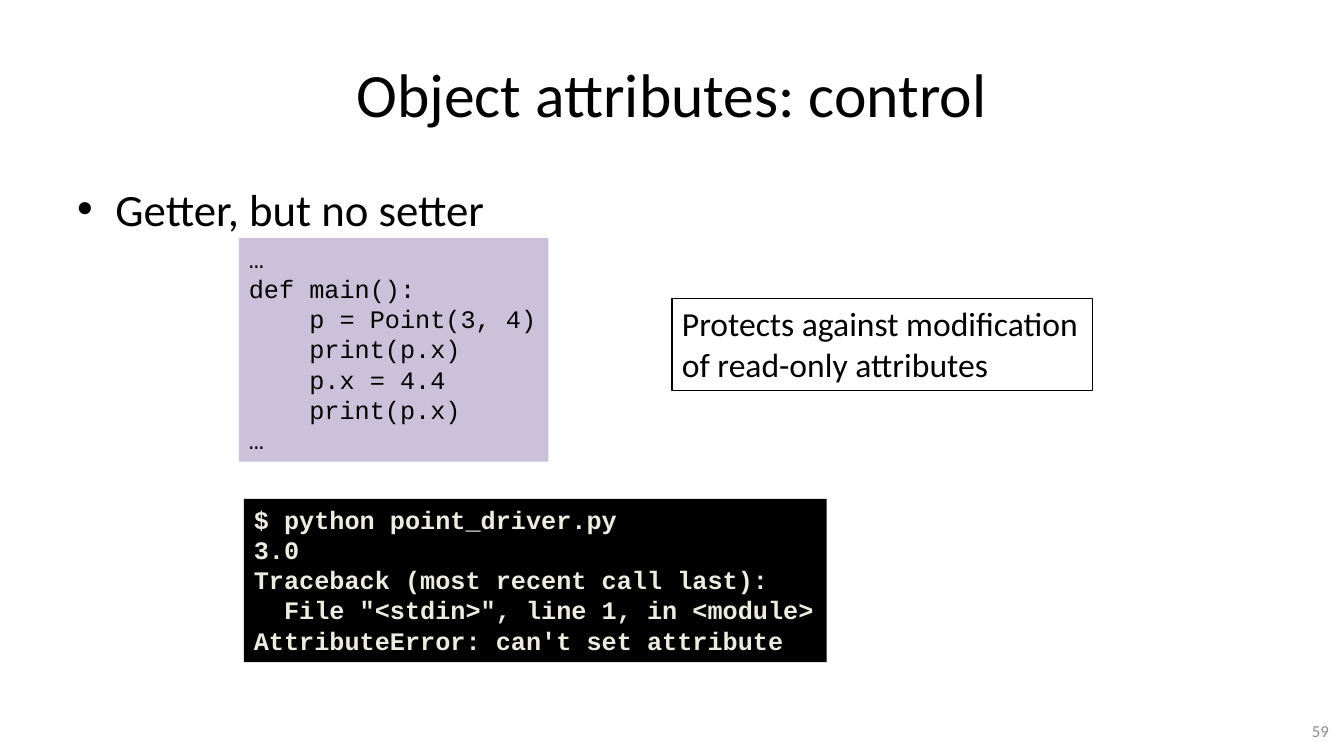
from pptx import Presentation
from pptx.dml.color import RGBColor
from pptx.enum.text import MSO_ANCHOR, MSO_AUTO_SIZE, PP_ALIGN
from pptx.oxml import parse_xml
from pptx.oxml.ns import nsdecls
from pptx.util import Inches, Pt

THEME = {
    "ink": "000000", "lilac": "CCC1DA", "cream": "EEECE1", "gray": "8C8C8C",
    "title": 44, "body": 32, "note": 24, "code": 18, "foot": 12,
    "sans": "Calibri", "mono": "Courier New",
}

deck = Presentation()
deck.slide_width, deck.slide_height = Inches(13.33), Inches(7.5)
slide = deck.slides.add_slide(deck.slide_layouts[6])

# Grid of 100 columns by 100 rows
COL, ROW = deck.slide_width / 100, deck.slide_height / 100


def write(lines, left, top, wide, high, size, font="sans", ink="ink", bold=False,
          align=PP_ALIGN.LEFT, anchor=MSO_ANCHOR.TOP, fill=None, edge=None,
          wrap=True, bullet=None):
    box = slide.shapes.add_textbox(round(left * COL), round(top * ROW),
                                   round(wide * COL), round(high * ROW))
    if fill:
        box.fill.solid()
        box.fill.fore_color.rgb = RGBColor.from_string(THEME[fill])
    if edge:
        box.line.color.rgb = RGBColor.from_string(THEME[edge])
        box.line.width = Pt(0.75)
    frame = box.text_frame
    frame.word_wrap = wrap
    frame.auto_size = MSO_AUTO_SIZE.NONE if wrap else MSO_AUTO_SIZE.SHAPE_TO_FIT_TEXT
    frame.vertical_anchor = anchor
    for i, line in enumerate(lines):
        para = frame.paragraphs[0] if i == 0 else frame.add_paragraph()
        para.alignment = align
        if bullet:
            props = para._p.get_or_add_pPr()
            props.set("marL", str(Inches(0.38)))
            props.set("indent", str(-Inches(0.38)))
            props.append(parse_xml(f'<a:buFont {nsdecls("a")} typeface="Arial"/>'))
            props.append(parse_xml(f'<a:buChar {nsdecls("a")} char="{bullet}"/>'))
        para.text = line
        for run in para.runs:
            run.font.name = THEME[font]
            run.font.size = Pt(THEME[size])
            run.font.bold = bold
            run.font.color.rgb = RGBColor.from_string(THEME[ink])


# Title and bullet
write(["Object attributes: control"], 5, 4, 90, 16.67, "title",
      align=PP_ALIGN.CENTER, anchor=MSO_ANCHOR.MIDDLE)
write(["Getter, but no setter"], 5, 23.33, 90, 66, "body", bullet="•")

# Code listing
code = """…
def main():
    p = Point(3, 4)
    print(p.x)
    p.x = 4.4
    print(p.x)
…"""
write(code.split("\n"), 17.78, 31.47, 23.03, 29.6, "code", font="mono",
      fill="lilac", wrap=False)

# Terminal session
shell = """$ python point_driver.py
3.0
Traceback (most recent call last):
  File "<stdin>", line 1, in <module>
AttributeError: can't set attribute"""
write(shell.split("\n"), 18.15, 66, 43.36, 21.6, "code", font="mono",
      ink="cream", bold=True, fill="ink", wrap=False)

# Side note, one paragraph with a line break
write(["Protects against modification\nof read-only attributes"],
      50, 39.47, 31.28, 12.13, "note", edge="ink", wrap=False)

# Page number
write(["59"], 76.29, 94, 23.33, 5.33, "foot", ink="gray",
      align=PP_ALIGN.RIGHT, anchor=MSO_ANCHOR.MIDDLE)

deck.save("out.pptx")
